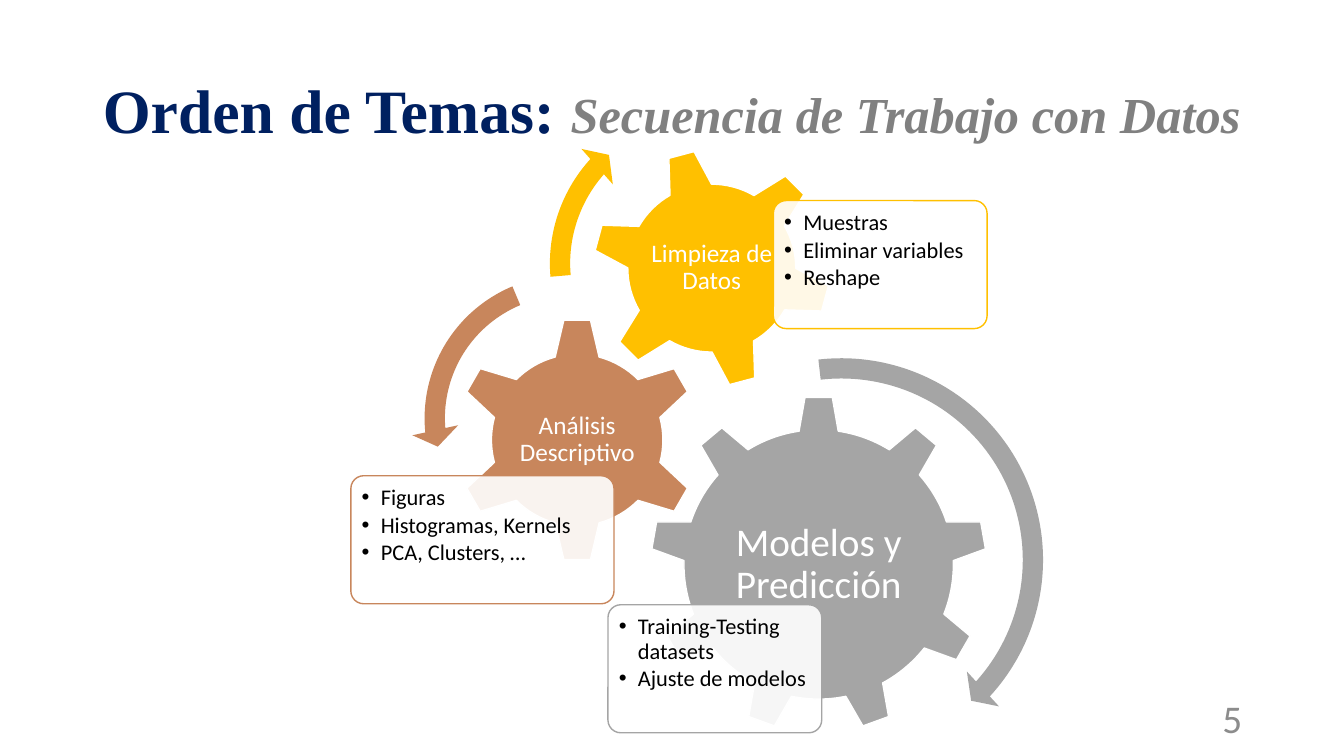
from lxml import etree
from pptx import Presentation
from pptx.dml.color import RGBColor
from pptx.enum.shapes import MSO_SHAPE
from pptx.enum.text import MSO_ANCHOR, MSO_AUTO_SIZE, PP_ALIGN
from pptx.oxml.ns import qn
from pptx.util import Inches, Pt

GEAR_6, GEAR_9 = MSO_SHAPE.GEAR_6, MSO_SHAPE.GEAR_9
ROUNDED = MSO_SHAPE.ROUNDED_RECTANGLE
ARROW, LEFT_ARROW = MSO_SHAPE.CIRCULAR_ARROW, MSO_SHAPE.LEFT_CIRCULAR_ARROW
TOP, MIDDLE = MSO_ANCHOR.TOP, MSO_ANCHOR.MIDDLE
LEFT, CENTER, RIGHT = PP_ALIGN.LEFT, PP_ALIGN.CENTER, PP_ALIGN.RIGHT
NO_AUTOFIT = MSO_AUTO_SIZE.NONE
TITLE_ONLY = 5

COLORS = {
    "navy": "002060", "title_gray": "808080", "number_gray": "8C8C8C",
    "gray": "A5A5A5", "brown": "C8865C", "yellow": "FFC000",
    "white": "FFFFFF", "black": "000000",
}

STAGES = [
    {"color": "gray", "gear": GEAR_9, "gear_box": (6.45, 3.93, 3.34, 3.34), "turn": 0,
     "label": "Modelos y Predicción", "label_size": (2, 1.72), "points": 28,
     "card_box": (6.03, 6, 2.12, 1.27),
     "items": ["Training-Testing datasets", "Ajuste de modelos"],
     "arrow": ARROW, "arrow_box": (6.21, 3.42, 4.27, 4.27),
     "bend": (0.047, 2.99, 25.412, 158.084, 0.055)},
    {"color": "brown", "gear": GEAR_6, "gear_box": (4.51, 3.15, 2.43, 2.43), "turn": 0,
     "label": "Análisis Descriptivo", "label_size": (1.21, 1.2), "points": 18,
     "card_box": (3.48, 4.72, 2.61, 1.27),
     "items": ["Figuras", "Histogramas, Kernels", "PCA, Clusters, …"],
     "arrow": LEFT_ARROW, "arrow_box": (4.08, 2.6, 3.1, 3.1),
     "bend": (0.065, 4.3, 104.891, 148.378, 0.075)},
    {"color": "yellow", "gear": GEAR_6, "gear_box": (5.87, 1.47, 2.38, 2.38), "turn": 345,
     "label": "Limpieza de Datos", "label_size": (1.33, 1.33), "points": 18,
     "card_box": (7.67, 1.99, 2.12, 1.27),
     "items": ["Muestras", "Eliminar variables", "Reshape"],
     "arrow": ARROW, "arrow_box": (5.32, 0.94, 3.35, 3.35),
     "bend": (0.06, 3.941, 133.138, 105.082, 0.07)},
]


def rgb(name):
    return RGBColor.from_string(COLORS[name])


def place(box):
    return [Inches(length) for length in box]


def add_span(para, text, points, color, font="Calibri", bold=False, italic=False):
    span = para.add_run()
    span.text = text
    span.font.name, span.font.size = font, Pt(points)
    span.font.bold, span.font.italic = bold, italic
    span.font.color.rgb = rgb(color)


def set_frame(frame, anchor, inset):
    frame.word_wrap = True
    frame.auto_size = NO_AUTOFIT
    frame.vertical_anchor = anchor
    frame.margin_left = frame.margin_right = Inches(inset)
    frame.margin_top = frame.margin_bottom = Inches(inset)


def add_label(page, box, text, points, color, align):
    frame = page.shapes.add_textbox(*place(box)).text_frame
    set_frame(frame, MIDDLE, 0.03)
    para = frame.paragraphs[0]
    para.alignment, para.line_spacing = align, 0.9
    add_span(para, text, points, color)


def add_figure(page, kind, box, fill, line=None):
    shape = page.shapes.add_shape(kind, *place(box))
    shape.shadow.inherit = False
    shape.fill.solid()
    shape.fill.fore_color.rgb = rgb(fill)
    if line:
        shape.line.color.rgb = rgb(line)
        shape.line.width = Pt(1)
    else:
        shape.line.fill.background()
    return shape


def add_title(page, box):
    title = page.shapes.title
    title.left, title.top, title.width, title.height = place(box)
    frame = title.text_frame
    frame.word_wrap, frame.auto_size = True, NO_AUTOFIT
    frame.vertical_anchor = MIDDLE
    para = frame.paragraphs[0]
    para.alignment, para.line_spacing = LEFT, 0.9
    add_span(para, "Orden de Temas: ", 44, "navy", "Times New Roman", True)
    add_span(para, "Secuencia de Trabajo con Datos", 36, "title_gray",
             "Times New Roman", True, True)


def add_gear(page, box, stage):
    gear = add_figure(page, stage["gear"], box, stage["color"], "white")
    gear.rotation = stage["turn"]
    left, top, width, height = box
    label_width, label_height = stage["label_size"]
    label_box = (left + (width - label_width) / 2, top + (height - label_height) / 2,
                 label_width, label_height)
    add_label(page, label_box, stage["label"], stage["points"], "white", CENTER)


def add_card(page, box, items, color):
    card = add_figure(page, ROUNDED, box, "white", color)
    card.adjustments[0] = 0.1
    fill_color = card.fill._xPr.find(qn("a:solidFill"))[0]
    etree.SubElement(fill_color, qn("a:alpha"), val="90000")
    frame = card.text_frame
    set_frame(frame, TOP, 0.07)
    for index, item in enumerate(items):
        para = frame.add_paragraph() if index else frame.paragraphs[0]
        para.alignment, para.line_spacing = LEFT, 0.9
        para.space_after = Pt(2.4)
        properties = para._p.get_or_add_pPr()
        properties.set("marL", str(Inches(0.19)))
        properties.set("indent", str(-Inches(0.19)))
        etree.SubElement(properties, qn("a:buFont"), typeface="Arial")
        etree.SubElement(properties, qn("a:buChar"), char="•")
        add_span(para, item, 16, "black")


def add_arrow(page, box, kind, bend, color):
    arrow = add_figure(page, kind, box, color)
    for index, amount in enumerate(bend):
        arrow.adjustments[index] = amount


def main():
    deck = Presentation()
    deck.slide_width, deck.slide_height = Inches(13.33), Inches(7.5)
    page = deck.slides.add_slide(deck.slide_layouts[TITLE_ONLY])
    add_title(page, (0.92, 0.4, 11.5, 1.45))
    for stage in STAGES:
        add_gear(page, stage["gear_box"], stage)
        add_card(page, stage["card_box"], stage["items"], stage["color"])
    for stage in STAGES:
        add_arrow(page, stage["arrow_box"], stage["arrow"], stage["bend"], stage["color"])
    add_label(page, (9.42, 6.95, 2.93, 0.4), "5", 28, "number_gray", RIGHT)
    deck.save("out.pptx")


if __name__ == "__main__":
    main()
